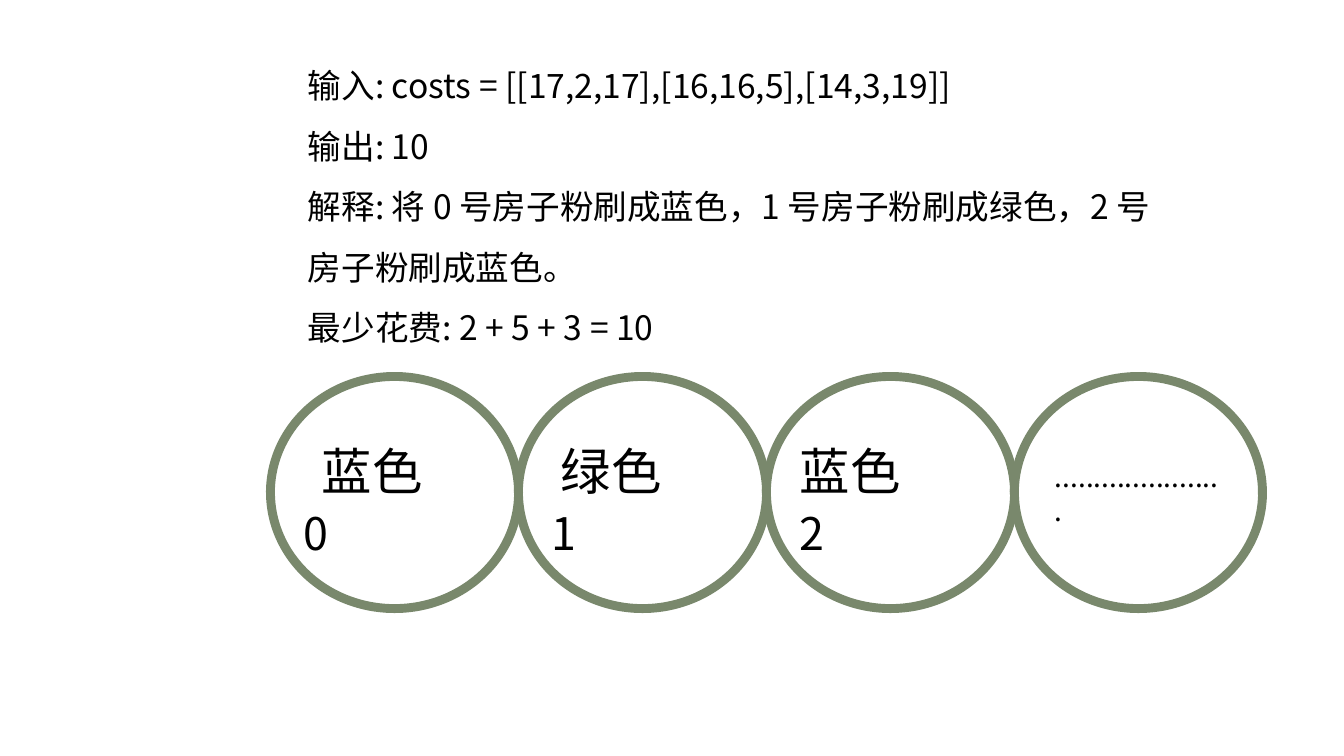
from pptx import Presentation
from pptx.dml.color import RGBColor
from pptx.enum.shapes import MSO_SHAPE
from pptx.enum.text import MSO_ANCHOR, PP_ALIGN
from pptx.oxml.ns import qn
from pptx.util import Emu, Pt

EXAMPLE = [
    "输入: costs = [[17,2,17],[16,16,5],[14,3,19]]",
    "输出: 10",
    "解释: 将 0 号房子粉刷成蓝色，1 号房子粉刷成绿色，2 号房子粉刷成蓝色。",
    "最少花费: 2 + 5 + 3 = 10",
]
HOUSE_COLOURS = ["蓝色", "绿色", "蓝色"]
MORE_HOUSES = "......................"

FONT = "Noto Sans CJK SC"
COLOURS = {"text": "000000", "ring": "79886C"}
HALF_RING = (108, 0.615, 0.037)  # start angle, end angle, thickness

EMU_PER_PX = 914400 / 100.8
RING_LEFT, RING_TOP, RING_WIDTH, RING_HEIGHT = 266, 372, 257, 241
RING_PITCH = 248
NUMBER_LEFT = 196
LABEL_LEFT, LABEL_PITCH = 312, 239


def px(*lengths):
    return [Emu(round(length * EMU_PER_PX)) for length in lengths]


def add_text(slide, box, lines, size, align=PP_ALIGN.LEFT,
             anchor=MSO_ANCHOR.TOP, spacing=None):
    frame = slide.shapes.add_textbox(*px(*box)).text_frame
    frame.word_wrap = True
    frame.vertical_anchor = anchor
    frame.text = "\n".join(lines)
    for paragraph in frame.paragraphs:
        paragraph.alignment = align
        paragraph.line_spacing = spacing
        for run in paragraph.runs:
            run.font.size = Pt(size)
            run.font.name = FONT
            run.font.color.rgb = RGBColor.from_string(COLOURS["text"])
            east_asian = run.font._element.makeelement(qn("a:ea"), {"typeface": FONT})
            run.font._element.append(east_asian)


def add_half_ring(slide, left, rotation):
    half = slide.shapes.add_shape(
        MSO_SHAPE.BLOCK_ARC, *px(left, RING_TOP, RING_WIDTH, RING_HEIGHT))
    for index, value in enumerate(HALF_RING):
        half.adjustments[index] = value
    half.rotation = rotation
    half.shadow.inherit = False
    half.fill.solid()
    half.fill.fore_color.rgb = RGBColor.from_string(COLOURS["ring"])
    half.line.fill.background()


def main():
    prs = Presentation()
    prs.slide_width, prs.slide_height = px(1344, 756)
    slide = prs.slides.add_slide(prs.slide_layouts[6])

    for house in range(len(HOUSE_COLOURS)):
        add_text(slide, (NUMBER_LEFT + house * RING_PITCH, 500, 239, 65),
                 [str(house)], 32, PP_ALIGN.CENTER, MSO_ANCHOR.MIDDLE)

    for rotation in (0, 180):
        for ring in range(len(HOUSE_COLOURS) + 1):
            add_half_ring(slide, RING_LEFT + ring * RING_PITCH, rotation)

    add_text(slide, (298, 40, 875, 313), EXAMPLE, 24, spacing=1.5)
    for house, colour in enumerate(HOUSE_COLOURS):
        add_text(slide, (LABEL_LEFT + house * LABEL_PITCH, 435, 154, 72), [colour], 36)
    add_text(slide, (1045, 455, 187, 44), [MORE_HOUSES], 20)

    prs.save("out.pptx")


if __name__ == "__main__":
    main()
